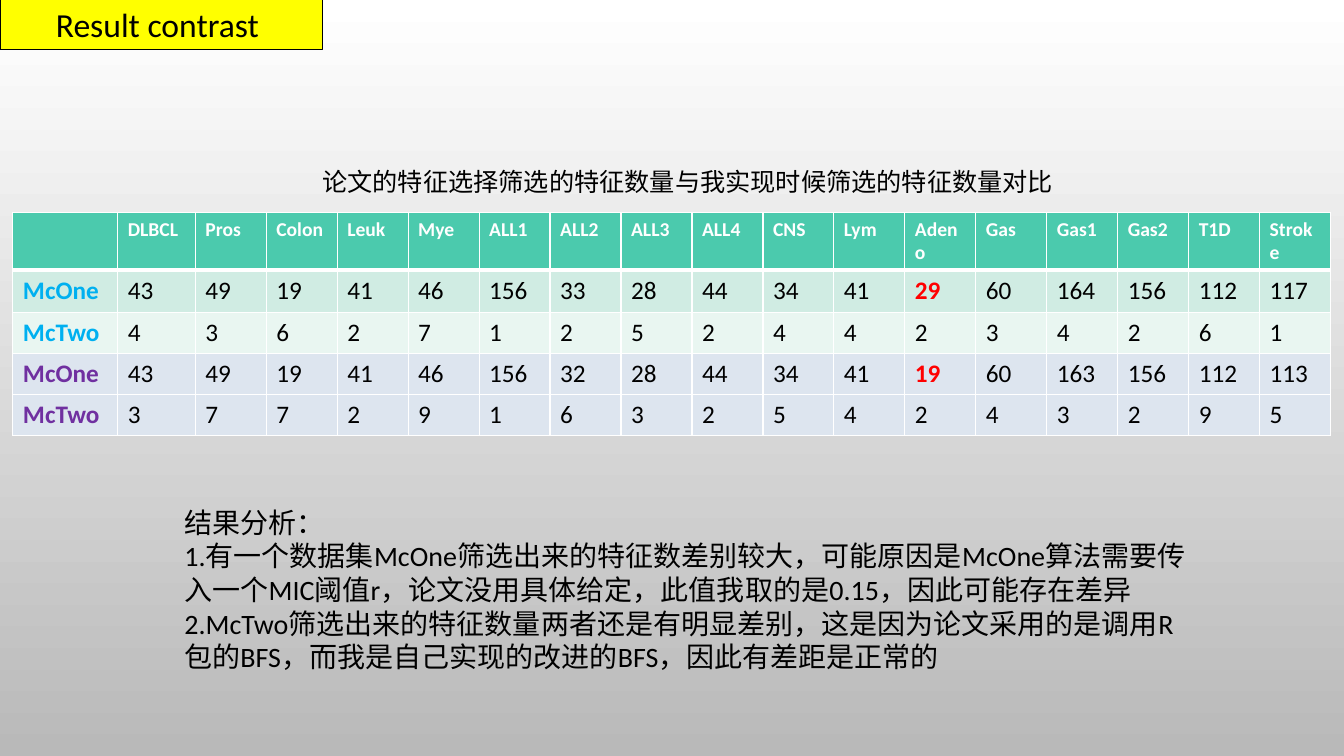
import pptx
import pptx.util
import pptx.dml.color
import pptx.enum.text
import pptx.oxml
import lxml.etree

Pt = pptx.util.Pt
ANCHOR = pptx.enum.text.MSO_ANCHOR
AUTO = pptx.enum.text.MSO_AUTO_SIZE


def rgb(value):
    return pptx.dml.color.RGBColor.from_string(value)


def write(p, text, color="000000", **fmt):
    r = p.add_run()
    r.text = text
    r.font.color.rgb = rgb(color)
    for name, value in {"name": "Calibri", "bold": False, **fmt}.items():
        setattr(r.font, name, value)


prs = pptx.Presentation()
prs.slide_width, prs.slide_height = Pt(960), Pt(540)
s = prs.slides.add_slide(prs.slide_layouts[5])

# Background gradient, white at the top
fill = s.background.fill
fill.gradient()
fill.gradient_angle = 270
for stop, color in zip(fill.gradient_stops, ("FFFFFF", "B9B9B9")):
    stop.color.rgb = rgb(color)

# Title on a yellow tab
sp = s.shapes.title
sp.left, sp.top, sp.width, sp.height = Pt(0), Pt(-0.7), Pt(230.4), Pt(36)
sp.fill.solid()
sp.fill.fore_color.rgb = rgb("FFFF00")
sp.line.color.rgb = rgb("000000")
sp.line.width = Pt(0.75)
tf = sp.text_frame
for name, value in {"auto_size": AUTO.NONE, "word_wrap": True,
                    "vertical_anchor": ANCHOR.MIDDLE}.items():
    setattr(tf, name, value)
tf.paragraphs[0].alignment = pptx.enum.text.PP_ALIGN.CENTER
write(tf.paragraphs[0], "Result contrast ", size=Pt(24))

# Table: feature counts per data set; the first pair is the paper, the second mine
rows = [
    ["", "DLBCL", "Pros", "Colon", "Leuk", "Mye", "ALL1", "ALL2", "ALL3", "ALL4",
     "CNS", "Lym", "Adeno", "Gas", "Gas1", "Gas2", "T1D", "Stroke"],
    ["McOne", 43, 49, 19, 41, 46, 156, 33, 28, 44, 34, 41, 29, 60, 164, 156, 112, 117],
    ["McTwo", 4, 3, 6, 2, 7, 1, 2, 5, 2, 4, 4, 2, 3, 4, 2, 6, 1],
    ["McOne", 43, 49, 19, 41, 46, 156, 32, 28, 44, 34, 41, 19, 60, 163, 156, 112, 113],
    ["McTwo", 3, 7, 7, 2, 9, 1, 6, 3, 2, 5, 4, 2, 4, 3, 2, 9, 5],
]
row_fills = ["4BCAAD", "D0ECE3", "E9F6F1", "DDE5EF", "DDE5EF"]
label_colors = ["FFFFFF", "00B0F0", "00B0F0", "7030A0", "7030A0"]
row_heights = [32.4, 30.3, 26.7, 26.7, 26.7]
col_widths = [74.9, 55.4] + [50.7] * 16
adeno = rows[0].index("Adeno")

table = s.shapes.add_table(len(rows), len(col_widths), Pt(9.2), Pt(151.7),
                           Pt(sum(col_widths)), Pt(sum(row_heights))).table
for col, width in zip(table.columns, col_widths):
    col.width = Pt(width)
for i, values in enumerate(rows):
    table.rows[i].height = Pt(row_heights[i])
    for j, value in enumerate(values):
        cell = table.cell(i, j)
        cell.fill.solid()
        cell.fill.fore_color.rgb = rgb(row_fills[i])
        # White borders, thick under the header
        widths = {"L": 1, "R": 1, "T": 3 if i == 1 else 1, "B": 3 if i == 0 else 1}
        for k, (side, width) in enumerate(widths.items()):
            ln = pptx.oxml.parse_xml(
                '<a:ln%s xmlns:a="http://schemas.openxmlformats.org/drawingml/2006/main"'
                ' w="%d"><a:solidFill><a:srgbClr val="FFFFFF"/></a:solidFill></a:ln%s>'
                % (side, Pt(width), side))
            cell._tc.get_or_add_tcPr().insert(k, ln)
        if value == "":
            continue
        # Labels are bold; the Adeno counts of McOne stand out in red
        red = j == adeno and i in (1, 3)
        label = i == 0 or j == 0
        color = "FF0000" if red else label_colors[i] if label else "000000"
        write(cell.text_frame.paragraphs[0], str(value), color,
              size=Pt(14 if i == 0 else 18), bold=red or label)

# Table caption and analysis
texts = [
    ((223.2, 115.4, 552.2, 29.1), 18,
     ["论文的特征选择筛选的特征数量与我实现时候筛选的特征数量对比"]),
    ((124.6, 357.3, 733, 128), 20,
     ["结果分析：",
      "1.有一个数据集McOne筛选出来的特征数差别较大，可能原因是McOne算法需要传入一个MIC阈值r，"
      "论文没用具体给定，此值我取的是0.15，因此可能存在差异",
      "2.McTwo筛选出来的特征数量两者还是有明显差别，这是因为论文采用的是调用R包的BFS，"
      "而我是自己实现的改进的BFS，因此有差距是正常的"]),
]
for box, size, lines in texts:
    tf = s.shapes.add_textbox(*map(Pt, box)).text_frame
    tf.word_wrap = True
    tf.auto_size = AUTO.SHAPE_TO_FIT_TEXT
    for n, line in enumerate(lines):
        p = tf.add_paragraph() if n else tf.paragraphs[0]
        write(p, line, size=Pt(size))

prs.save("out.pptx")
